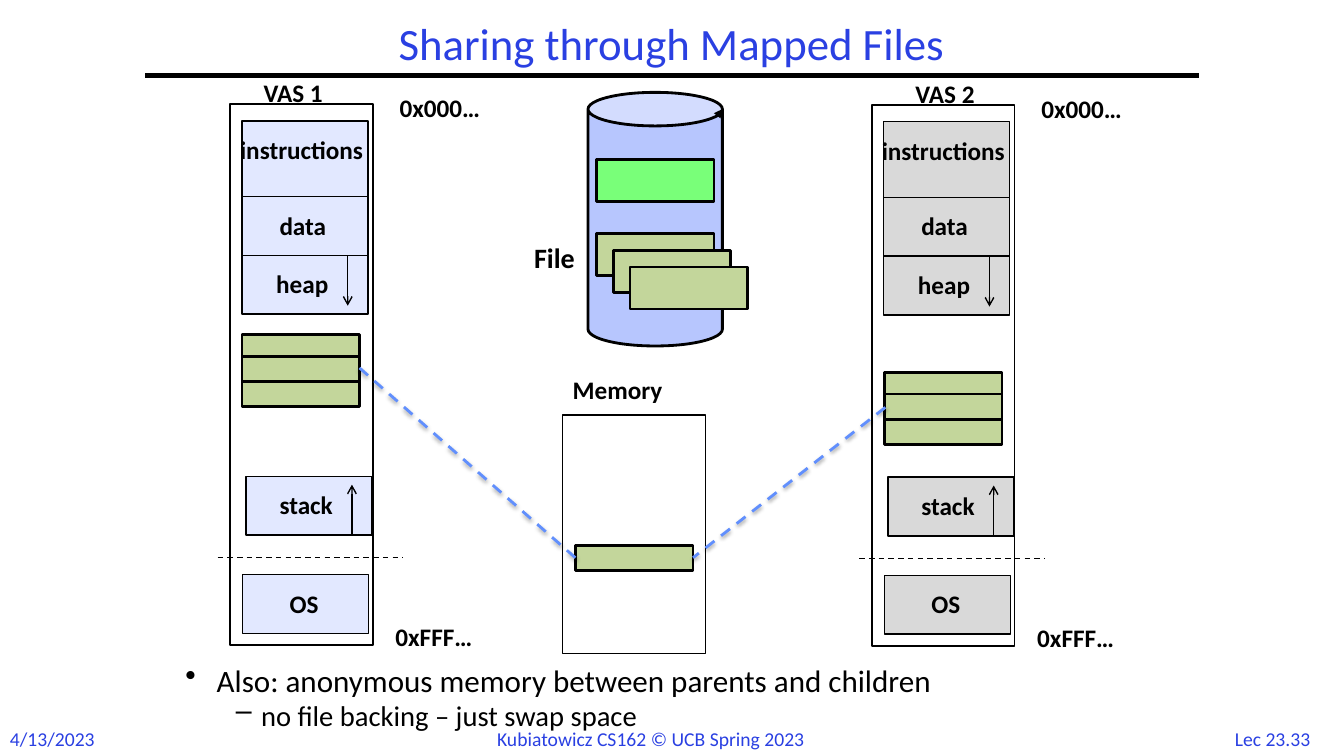
from dataclasses import dataclass
from itertools import pairwise

from lxml import etree
from pptx import Presentation
from pptx.dml.color import RGBColor
from pptx.enum.dml import MSO_LINE
from pptx.enum.shapes import MSO_CONNECTOR, MSO_SHAPE
from pptx.enum.text import MSO_ANCHOR, MSO_AUTO_SIZE, PP_ALIGN
from pptx.oxml.ns import qn
from pptx.util import Inches, Pt

RECTANGLE, CAN = MSO_SHAPE.RECTANGLE, MSO_SHAPE.CAN
STRAIGHT, DASH = MSO_CONNECTOR.STRAIGHT, MSO_LINE.DASH
LEFT, CENTER = PP_ALIGN.LEFT, PP_ALIGN.CENTER
MIDDLE = MSO_ANCHOR.MIDDLE
FIT_SHAPE, NO_FIT = MSO_AUTO_SIZE.SHAPE_TO_FIT_TEXT, MSO_AUTO_SIZE.NONE


@dataclass(frozen=True)
class Theme:
    font: str = "Calibri"
    ink: str = "000000"
    heading: str = "2A40E2"
    disk: str = "B7C6FE"
    file_block: str = "79FF79"
    shared_page: str = "C3D69B"
    first_space: str = "E2E8FF"
    second_space: str = "D9D9D9"
    link: str = "618FFD"
    title_size: float = 32
    bullet_size: float = 22.2
    dash_size: float = 20.4
    file_size: float = 20
    label_size: float = 18
    footer_size: float = 14


@dataclass(frozen=True)
class Segment:
    name: str
    column: float
    row: float
    rows: float
    label_column: float
    label_row: float
    label_columns: float


@dataclass(frozen=True)
class AddressSpace:
    name: str
    column: float
    row: float
    fill: str
    name_column: float
    pages_column: float
    pages_row: float


@dataclass(frozen=True)
class Note:
    text: str
    size: float
    bullet: str
    margin: float
    hanging: float
    before: float


THEME = Theme()
COLUMNS, ROWS = 160, 90
SPACE_COLUMNS = 17
PAGE_COLUMNS, PAGE_ROWS = 14, 3
PAGE_OFFSETS = (0, 2.6, 5.6)
SEGMENTS = (
    Segment("instructions", 1.4, 2, 9, 0, 3, 19.8),
    Segment("data", 1.4, 11, 7, 4.7, 12, 8.6),
    Segment("heap", 1.4, 18, 7, 4.3, 19, 9.5),
    Segment("stack", 1.9, 44.3, 7, 4.7, 45.3, 10.2),
    Segment("OS", 1.5, 56, 7, 5.9, 57, 6.8),
)
SPACES = (
    AddressSpace("VAS 1", 27.4, 12.4, THEME.first_space, 2.8, 1.4, 27.4),
    AddressSpace("VAS 2", 103.8, 12.5, THEME.second_space, 4, 1.5, 31.8),
)
NOTES = (
    Note("Also: anonymous memory between parents and children",
         THEME.bullet_size, "•", 0.31, 0.31, 0),
    Note("no file backing – just swap space", THEME.dash_size, "–", 0.75, 0.25, 6.5),
)

deck = Presentation()
deck.slide_width, deck.slide_height = Inches(13.333), Inches(7.5)
slide = deck.slides.add_slide(deck.slide_layouts[5])


def across(columns: float) -> int:
    return round(deck.slide_width * columns / COLUMNS)


def down(rows: float) -> int:
    return round(deck.slide_height * rows / ROWS)


def add_span(para, text: str, size: float, color: str, bold: bool = False) -> None:
    span = para.add_run()
    span.text = text
    span.font.name, span.font.size, span.font.bold = THEME.font, Pt(size), bold
    span.font.color.rgb = RGBColor.from_string(color)


def add_box(column: float, row: float, columns: float, rows: float,
            fill: str | None = None, weight: float = 1, kind=RECTANGLE):
    box = slide.shapes.add_shape(kind, across(column), down(row), across(columns), down(rows))
    box.shadow.inherit = False
    if fill:
        box.fill.solid()
        box.fill.fore_color.rgb = RGBColor.from_string(fill)
    else:
        box.fill.background()
    box.line.color.rgb = RGBColor.from_string(THEME.ink)
    box.line.width = Pt(weight)
    return box


def add_label(text: str, column: float, row: float, columns: float, rows: float = 4.8,
              size: float = THEME.label_size, color: str = THEME.ink,
              bold: bool = True, align=LEFT) -> None:
    box = slide.shapes.add_textbox(across(column), down(row), across(columns), down(rows))
    box.text_frame.word_wrap = False
    box.text_frame.auto_size = FIT_SHAPE
    para = box.text_frame.paragraphs[0]
    para.alignment = align
    add_span(para, text, size, color, bold)


def add_line(start: tuple[float, float], end: tuple[float, float], color: str = THEME.ink,
             weight: float = 1, dashed: bool = False, arrow: bool = False):
    line = slide.shapes.add_connector(
        STRAIGHT, across(start[0]), down(start[1]), across(end[0]), down(end[1]))
    line.line.color.rgb = RGBColor.from_string(color)
    line.line.width = Pt(weight)
    if dashed:
        line.line.dash_style = DASH
    if arrow:
        etree.SubElement(line.line._get_or_add_ln(), qn("a:tailEnd"), type="arrow")
    return etree.SubElement(line._element.spPr, qn("a:effectLst"))


def add_link(start: tuple[float, float], end: tuple[float, float]) -> None:
    effects = add_line(start, end, THEME.link, 2, dashed=True)
    shadow = etree.SubElement(effects, qn("a:outerShdw"), blurRad=str(Pt(3.1)),
                              dist=str(Pt(1.6)), dir="5400000", rotWithShape="0")
    tint = etree.SubElement(shadow, qn("a:srgbClr"), val=THEME.ink)
    etree.SubElement(tint, qn("a:alpha"), val="38000")


def add_page(column: float, row: float, rows: float = PAGE_ROWS,
             fill: str = THEME.shared_page) -> None:
    add_box(column, row, PAGE_COLUMNS, rows, fill, 2)


def add_space(space: AddressSpace) -> None:
    left, top = space.column, space.row
    add_box(left, top, SPACE_COLUMNS, 64.4)
    add_label(space.name, left + space.name_column, top - 3.8, 10.9)
    add_label("0x000…", left + 19, top - 2, 13.9)
    add_label("0xFFF…", left + 18.5, top + 61, 14.4)
    for part in SEGMENTS:
        add_box(left + part.column, top + part.row, 15, part.rows, space.fill)
        add_label(part.name, left + part.label_column, top + part.label_row, part.label_columns)
    add_line((left + 14.5, top + 51.3), (left + 14.5, top + 45.3), arrow=True)
    add_line((left + 14, top + 18), (left + 14, top + 24), arrow=True)
    add_line((left - 1.5, top + 54), (left + 20.5, top + 54), dashed=True)
    for offset in PAGE_OFFSETS:
        add_page(left + space.pages_column, top + space.pages_row + offset)


def add_title() -> None:
    title = slide.shapes.title
    title.left, title.top, title.width, title.height = (
        across(17.3), down(2), across(125.3), down(7))
    title.text_frame.auto_size = NO_FIT
    title.text_frame.vertical_anchor = MIDDLE
    para = title.text_frame.paragraphs[0]
    para.alignment, para.line_spacing = CENTER, 0.9
    add_span(para, "Sharing through Mapped Files", THEME.title_size, THEME.heading)
    add_line((17.3, 9), (142.7, 9), weight=3)


def add_notes() -> None:
    box = slide.shapes.add_textbox(across(20.9), down(79.4), across(119.2), down(8.8))
    frame = box.text_frame
    frame.word_wrap = True
    for index, note in enumerate(NOTES):
        para = frame.add_paragraph() if index else frame.paragraphs[0]
        para.level, para.line_spacing, para.space_before = index, 0.7, Pt(note.before)
        properties = para._p.get_or_add_pPr()
        properties.set("marL", str(Inches(note.margin)))
        properties.set("indent", str(-Inches(note.hanging)))
        etree.SubElement(properties, qn("a:buChar"), char=note.bullet)
        add_span(para, note.text, note.size, THEME.ink)


def add_file() -> None:
    disk = add_box(70, 11, 16, 30.2, THEME.disk, 2, CAN)
    disk.adjustments[0] = 0.25
    etree.SubElement(disk.line._get_or_add_ln(), qn("a:headEnd"), type="triangle")
    add_page(71, 19, 5, THEME.file_block)
    for step in range(3):
        add_page(71 + 2 * step, 27.8 + 2 * step, 5)
    add_label("File", 62.4, 28.1, 8.2, 5.3, THEME.file_size)


def main() -> None:
    add_title()
    footers = (("Lec 23.33", 145, 13, CENTER), ("4/13/2023", 0, 12.8, LEFT),
               ("Kubiatowicz CS162 © UCB Spring 2023", 58, 44.2, LEFT))
    for text, column, columns, align in footers:
        add_label(text, column, 85.9, columns, 4, THEME.footer_size, THEME.heading, False, align)
    add_notes()
    add_file()
    for space in SPACES:
        add_space(space)
    add_box(67, 49.4, SPACE_COLUMNS, 28.4)
    add_page(68.5, 64.9)
    add_label("Memory", 67, 44, 14)
    for start, end in pairwise(((42.8, 43.8), (68.5, 66.4))):
        add_link(start, end)
    add_link((105.4, 48.5), (82.5, 66.4))
    deck.save("out.pptx")


if __name__ == "__main__":
    main()
